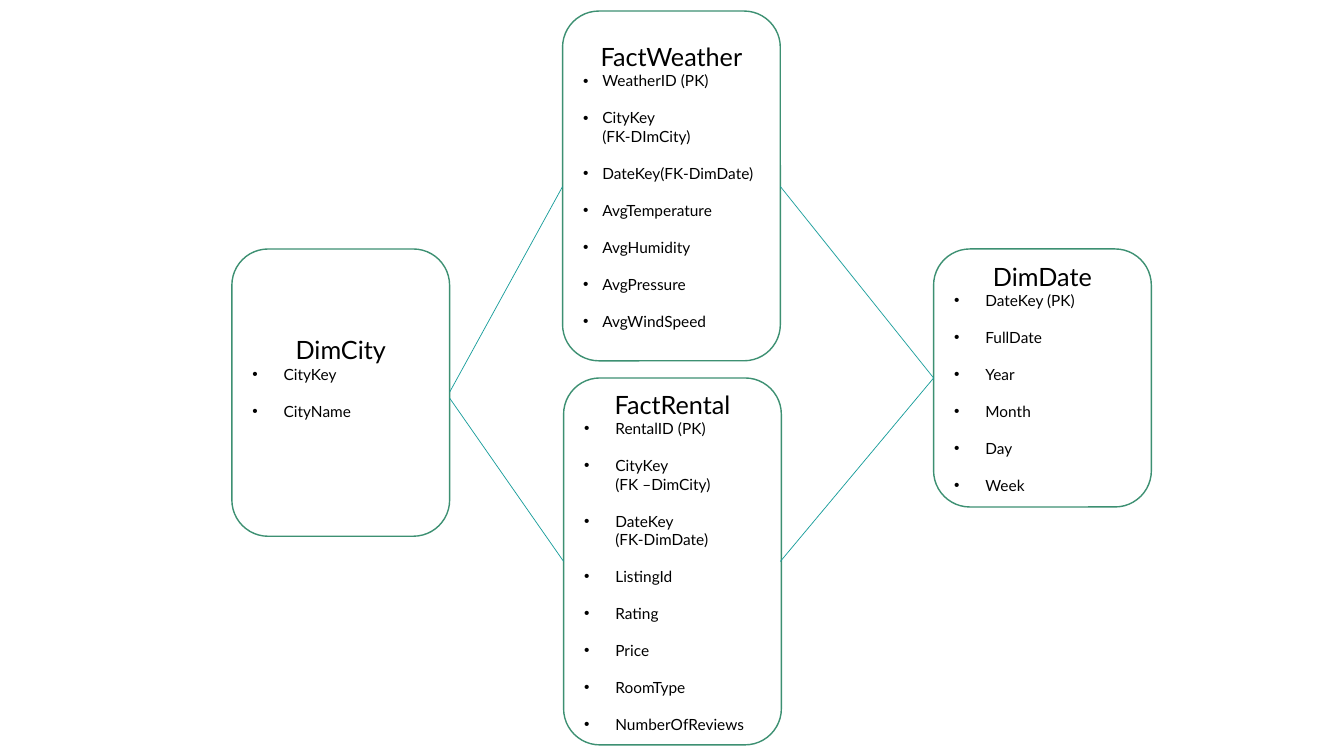
from lxml import etree
from pptx import Presentation
from pptx.dml.color import RGBColor
from pptx.enum.shapes import MSO_CONNECTOR, MSO_SHAPE
from pptx.enum.text import MSO_ANCHOR, PP_ALIGN
from pptx.oxml.ns import qn
from pptx.util import Inches, Pt

ROUNDED = MSO_SHAPE.ROUNDED_RECTANGLE
STRAIGHT = MSO_CONNECTOR.STRAIGHT
MIDDLE = MSO_ANCHOR.MIDDLE
LEFT, CENTER = PP_ALIGN.LEFT, PP_ALIGN.CENTER

TABLE_WIDTH = 2.16
FIELD_GAP = Pt(13.2)
TITLE_FORMAT = {"name": "Lato", "size": Pt(18)}
FIELD_FORMAT = {"name": "Lato", "size": Pt(11)}


def color(hex_value):
    return RGBColor.from_string(hex_value)


def write(paragraph, text, font_format):
    paragraph.text = text
    for run in paragraph.runs:
        for attribute, value in font_format.items():
            setattr(run.font, attribute, value)
        run.font.color.rgb = color("000000")


prs = Presentation()
prs.slide_width, prs.slide_height = Inches(13.33), Inches(7.5)
slide = prs.slides.add_slide(prs.slide_layouts[6])

# Schema tables: title, left, top, height, bullet indent, bottom inset, fields
# (\v starts a second line within a field)
schema = [
    ("FactWeather", 5.58, 0.11, 3.47, 0.19, 0.05,
     ["WeatherID (PK)", "CityKey\v(FK-DImCity)", "DateKey(FK-DimDate)",
      "AvgTemperature", "AvgHumidity", "AvgPressure", "AvgWindSpeed"]),
    ("FactRental", 5.59, 3.75, 3.64, 0.31, 0.05,
     ["RentalID (PK)", "CityKey\v(FK –DimCity)", "DateKey\v(FK-DimDate)",
      "ListingId", "Rating", "Price", "RoomType", "NumberOfReviews"]),
    ("DimCity", 2.3, 2.47, 2.85, 0.31, 0.35, ["CityKey", "CityName"]),
    ("DimDate", 9.26, 2.47, 2.56, 0.31, 0.05,
     ["DateKey (PK)", "FullDate", "Year", "Month", "Day", "Week"]),
]

for title, left, top, height, indent, bottom_inset, fields in schema:
    table_box = slide.shapes.add_shape(
        ROUNDED, Inches(left), Inches(top), Inches(TABLE_WIDTH), Inches(height))
    table_box.shadow.inherit = False
    table_box.fill.solid()
    table_box.fill.fore_color.rgb = color("FFFFFF")
    table_box.line.color.rgb = color("3D9072")
    table_box.line.width = Pt(1)

    frame = table_box.text_frame
    frame.word_wrap = True
    frame.vertical_anchor = MIDDLE
    frame.margin_bottom = Inches(bottom_inset)
    heading = frame.paragraphs[0]
    heading.alignment = CENTER
    write(heading, title, TITLE_FORMAT)

    # Bulleted fields, one empty line's height apart
    for position, field in enumerate(fields):
        entry = frame.add_paragraph()
        entry.alignment = LEFT
        entry.space_before = FIELD_GAP if position else Pt(0)
        write(entry, field, FIELD_FORMAT)
        properties = entry._p.get_or_add_pPr()
        properties.set("marL", str(Inches(indent)))
        properties.set("indent", str(-Inches(indent)))
        etree.SubElement(properties, qn("a:buFont")).set("typeface", "Arial")
        etree.SubElement(properties, qn("a:buChar")).set("char", "•")

# Relations between dimension and fact tables
relations = [
    ((4.46, 3.89), (5.58, 1.85)),
    ((4.46, 3.95), (5.59, 5.57)),
    ((7.74, 1.85), (9.26, 3.75)),
    ((7.74, 5.57), (9.26, 3.75)),
]
for start, end in relations:
    relation = slide.shapes.add_connector(
        STRAIGHT, *[Inches(value) for value in start + end])
    relation.line.color.rgb = color("169C9A")
    relation.line.width = Pt(0.5)
    etree.SubElement(relation._element.spPr, qn("a:effectLst"))

prs.save("out.pptx")
